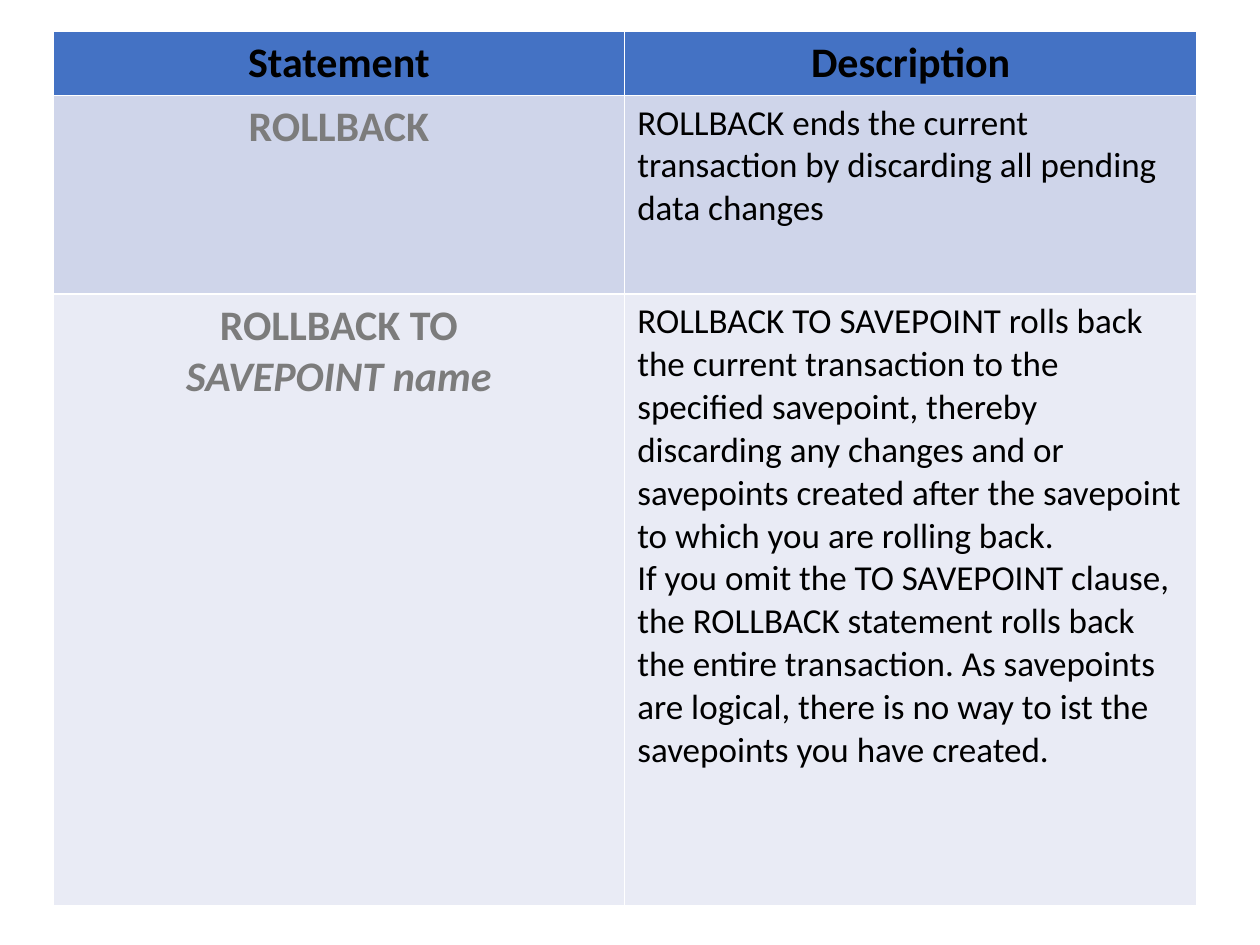
from pptx import Presentation
from pptx.dml.color import RGBColor
from pptx.enum import text
from pptx.util import Pt

BLACK = RGBColor(0x00, 0x00, 0x00)
GRAY = RGBColor(0x7C, 0x7C, 0x7C)
BLUE = RGBColor(0x44, 0x72, 0xC4)
BAND = RGBColor(0xCF, 0xD5, 0xEA)
PALE = RGBColor(0xE9, 0xEB, 0xF5)


def add_text(tf, lines, size=24, color=BLACK, bold=True,
             align=text.PP_ALIGN.CENTER, italic_lines=()):
    for i, line in enumerate(lines):
        p = tf.paragraphs[0] if i == 0 else tf.add_paragraph()
        p.alignment = align
        r = p.add_run()
        r.text = line
        r.font.name = "Calibri"
        r.font.size = Pt(size)
        r.font.bold = bold
        r.font.italic = i in italic_lines
        r.font.color.rgb = color


prs = Presentation()
prs.slide_width, prs.slide_height = Pt(720), Pt(540)
s = prs.slides.add_slide(prs.slide_layouts[6])

heights = [35.5, 113.5, 349.5]
fills = [BLUE, BAND, PALE]
table = s.shapes.add_table(3, 2, Pt(30.25), Pt(18), Pt(653.5), Pt(sum(heights))).table
for col in table.columns:
    col.width = Pt(326.75)
for row, height, fill in zip(table.rows, heights, fills):
    row.height = Pt(height)
    for cell in row.cells:
        cell.fill.solid()
        cell.fill.fore_color.rgb = fill

for i, heading in enumerate(["Statement", "Description"]):
    add_text(table.cell(0, i).text_frame, [heading])

statements = [
    (["ROLLBACK"], (),
     ["ROLLBACK ends the current transaction by discarding all pending",
      "data changes"]),
    (["ROLLBACK TO", "SAVEPOINT name"], (1,),
     ["ROLLBACK TO SAVEPOINT rolls back the current transaction to the "
      "specified savepoint, thereby discarding any changes and or savepoints "
      "created after the savepoint to which you are rolling back.",
      "If you omit the TO SAVEPOINT clause, the ROLLBACK statement rolls back "
      "the entire transaction. As savepoints are logical, there is no way to "
      "ist the savepoints you have created."]),
]
for i, (statement, italic_lines, description) in enumerate(statements, start=1):
    add_text(table.cell(i, 0).text_frame, statement, color=GRAY, italic_lines=italic_lines)
    add_text(table.cell(i, 1).text_frame, description, size=20, bold=False,
             align=text.PP_ALIGN.LEFT)

prs.save("out.pptx")
